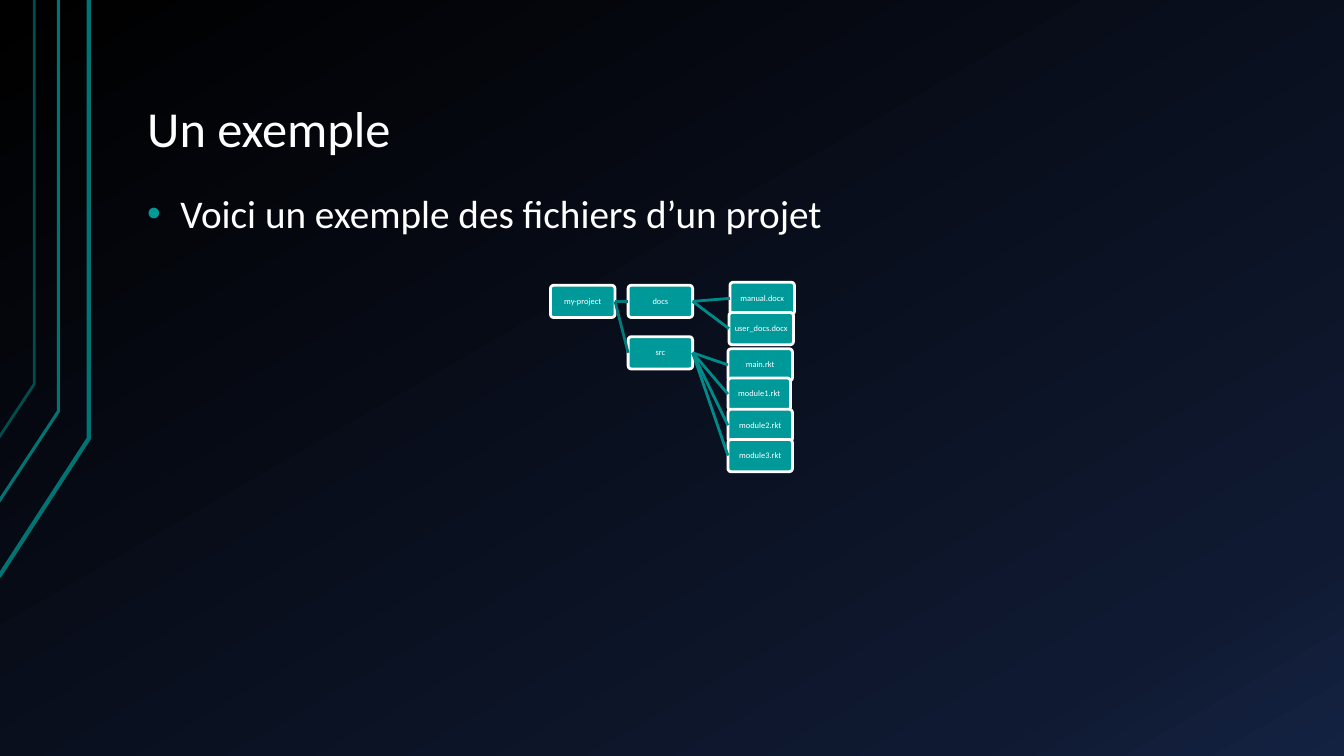
from copy import deepcopy

from lxml.etree import SubElement
from pptx import Presentation
from pptx.dml.color import RGBColor
from pptx.enum.shapes import MSO_CONNECTOR, MSO_SHAPE
from pptx.enum.text import MSO_ANCHOR, MSO_AUTO_SIZE, PP_ALIGN
from pptx.oxml.ns import qn
from pptx.util import Inches, Pt

FONT = "Calibri"
COLORS = {
    "text": "FFFFFF",
    "teal": "009999",
    "frame": "007373",
    "frame_dim": "004D4D",
    "folder_link": "007B7B",
    "file_link": "008B8B",
}
BACKGROUND_STOPS = [(0, "000000"), (0.85, "0F1931"), (1, "142242")]
FRAME_LINES = [
    ([(-0.01, 5.72), (0.88, 4.35), (0.88, 0)], "frame", 3),
    ([(-0.02, 4.99), (0.58, 4.08), (0.58, 0)], "frame", 2.25),
    ([(-0.01, 4.34), (0.34, 3.81), (0.34, 0)], "frame_dim", 2),
]
NODE_WIDTH, NODE_HEIGHT = 0.64, 0.32
NODES = [
    ("my-project", None, 0, 0.03, NODE_WIDTH),
    ("docs", "my-project", 0.77, 0.03, NODE_WIDTH),
    ("manual.docx", "docs", 1.78, 0, NODE_WIDTH),
    ("user_docs.docx", "docs", 1.77, 0.3, NODE_WIDTH),
    ("src", "my-project", 0.77, 0.54, NODE_WIDTH),
    ("main.rkt", "src", 1.76, 0.66, NODE_WIDTH),
    ("module1.rkt", "src", 1.76, 0.95, 0.62),
    ("module2.rkt", "src", 1.76, 1.26, NODE_WIDTH),
    ("module3.rkt", "src", 1.76, 1.56, NODE_WIDTH),
]


def color(name):
    """Return the named colour."""
    return RGBColor.from_string(COLORS[name])


def style_line(line, name, width):
    """Set the colour and the width in points of a line."""
    line.color.rgb = color(name)
    line.width = Pt(width)


def set_text(shape, text, size, align, anchor, insets):
    """Write one formatted paragraph into a shape and return it."""
    frame = shape.text_frame
    frame.text = text
    frame.word_wrap = True
    frame.auto_size = MSO_AUTO_SIZE.NONE
    frame.vertical_anchor = anchor
    frame.margin_left = frame.margin_right = Inches(insets[0])
    frame.margin_top = frame.margin_bottom = Inches(insets[1])
    paragraph = frame.paragraphs[0]
    paragraph.alignment = align
    paragraph.line_spacing = 0.9
    font = paragraph.runs[0].font
    font.name = FONT
    font.size = Pt(size)
    font.color.rgb = color("text")
    return paragraph


def place(shape, left, top, width, height):
    """Move and size a shape, with lengths in inches."""
    shape.left, shape.top = Inches(left), Inches(top)
    shape.width, shape.height = Inches(width), Inches(height)


def paint_background(slide):
    """Fill the slide with the dark diagonal gradient."""
    fill = slide.background.fill
    fill.gradient()
    fill.gradient_angle = 300
    stop_list = next(slide.element.iter(qn("a:gsLst")))
    stop_list.append(deepcopy(stop_list[0]))
    for stop, (position, value) in zip(fill.gradient_stops, BACKGROUND_STOPS):
        stop.position = position
        stop.color.rgb = RGBColor.from_string(value)


def draw_frame_lines(slide, left, top):
    """Draw the bent lines along the left edge."""
    for points, name, width in FRAME_LINES:
        corners = [(Inches(left + x), Inches(top + y)) for x, y in points]
        builder = slide.shapes.build_freeform(*corners[0])
        builder.add_line_segments(corners[1:], close=False)
        shape = builder.convert_to_shape()
        shape.shadow.inherit = False
        shape.fill.background()
        style_line(shape.line, name, width)


def write_title(slide, left, top, width, height):
    """Fill the title placeholder."""
    title = slide.shapes.title
    place(title, left, top, width, height)
    set_text(title, "Un exemple", 36, PP_ALIGN.LEFT, MSO_ANCHOR.BOTTOM, (0.13, 0.07))


def write_body(slide, left, top, width, height):
    """Fill the body placeholder with its bullet."""
    body = slide.placeholders[1]
    place(body, left, top, width, height)
    paragraph = set_text(body, "Voici un exemple des fichiers d’un projet", 28,
                         PP_ALIGN.LEFT, MSO_ANCHOR.TOP, (0.13, 0.07))
    paragraph.space_before = Pt(16)
    properties = paragraph._p.get_or_add_pPr()
    properties.set("marL", str(Inches(0.33)))
    properties.set("indent", str(Inches(-0.33)))
    bullet_color = SubElement(properties, qn("a:buClr"))
    SubElement(bullet_color, qn("a:srgbClr"), val=COLORS["teal"])
    SubElement(properties, qn("a:buFont"), typeface="Arial")
    SubElement(properties, qn("a:buChar"), char="•")


def add_node(slide, name, left, top, width):
    """Add one rounded box of the file tree."""
    node = slide.shapes.add_shape(MSO_SHAPE.ROUNDED_RECTANGLE, Inches(left), Inches(top),
                                  Inches(width), Inches(NODE_HEIGHT))
    node.adjustments[0] = 0.1
    node.shadow.inherit = False
    node.fill.solid()
    node.fill.fore_color.rgb = color("teal")
    style_line(node.line, "text", 2)
    set_text(node, name, 6, PP_ALIGN.CENTER, MSO_ANCHOR.MIDDLE, (0, 0))
    return node


def link_nodes(slide, parent, child, name):
    """Join the right side of a parent to the left side of its child."""
    link = slide.shapes.add_connector(MSO_CONNECTOR.STRAIGHT, 0, 0, 0, 0)
    link.begin_connect(parent, 3)
    link.end_connect(child, 1)
    style_line(link.line, name, 2)
    SubElement(link._element.spPr, qn("a:effectLst"))


def draw_file_tree(slide, left, top):
    """Draw the project tree from its top left corner."""
    nodes = {}
    for name, parent, x, y, width in NODES:
        nodes[name] = add_node(slide, name, left + x, top + y, width)
        if parent:
            link_color = "folder_link" if parent == "my-project" else "file_link"
            link_nodes(slide, nodes[parent], nodes[name], link_color)


def main():
    """Build and save the presentation."""
    presentation = Presentation()
    presentation.slide_width = Inches(13.33)
    presentation.slide_height = Inches(7.5)
    slide = presentation.slides.add_slide(presentation.slide_layouts[1])
    paint_background(slide)
    draw_frame_lines(slide, 0, 0)
    write_title(slide, 1.33, 0.3, 11.33, 1.34)
    write_body(slide, 1.33, 1.86, 11.33, 4.88)
    draw_file_tree(slide, 5.46, 2.8)
    presentation.save("out.pptx")


if __name__ == "__main__":
    main()
